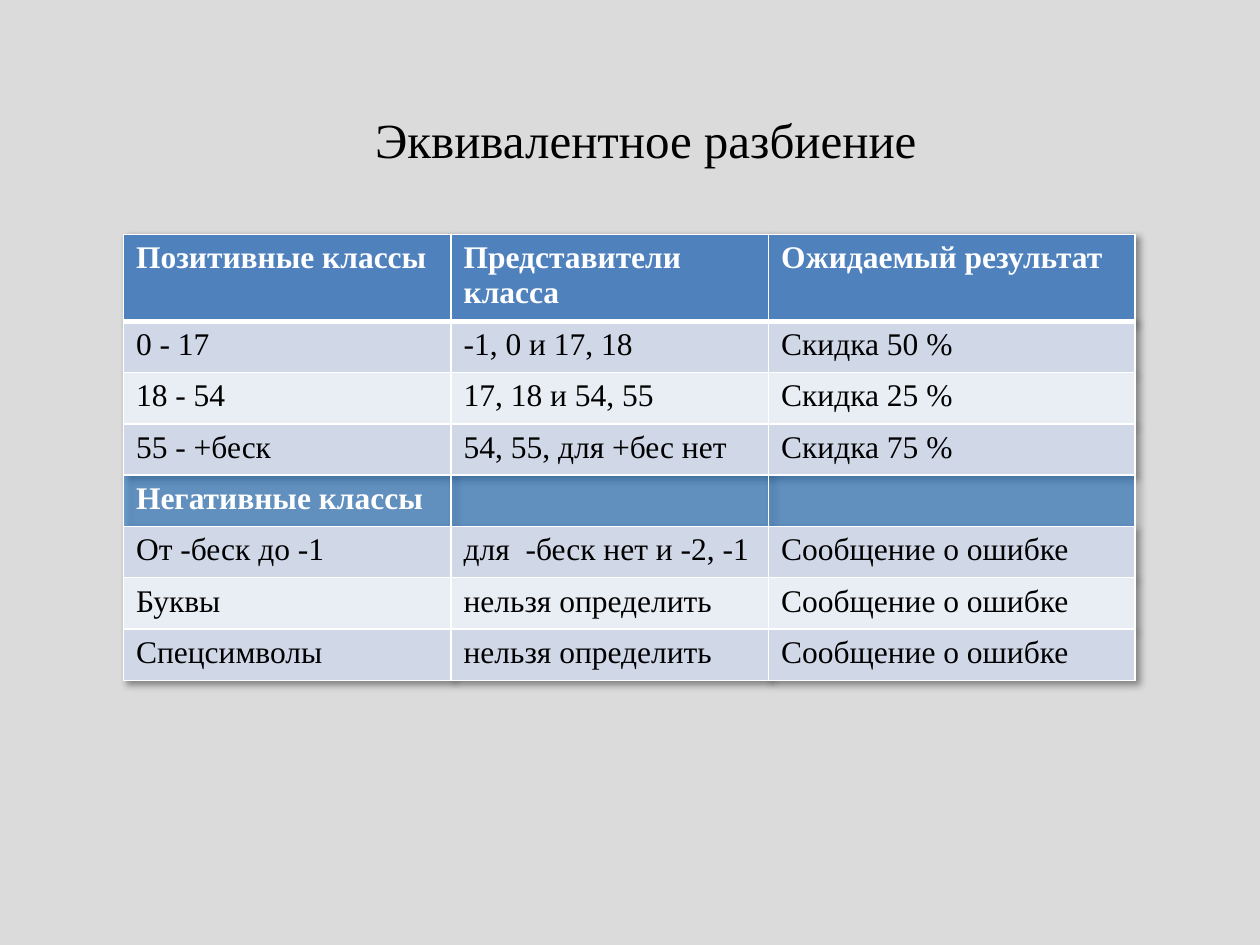
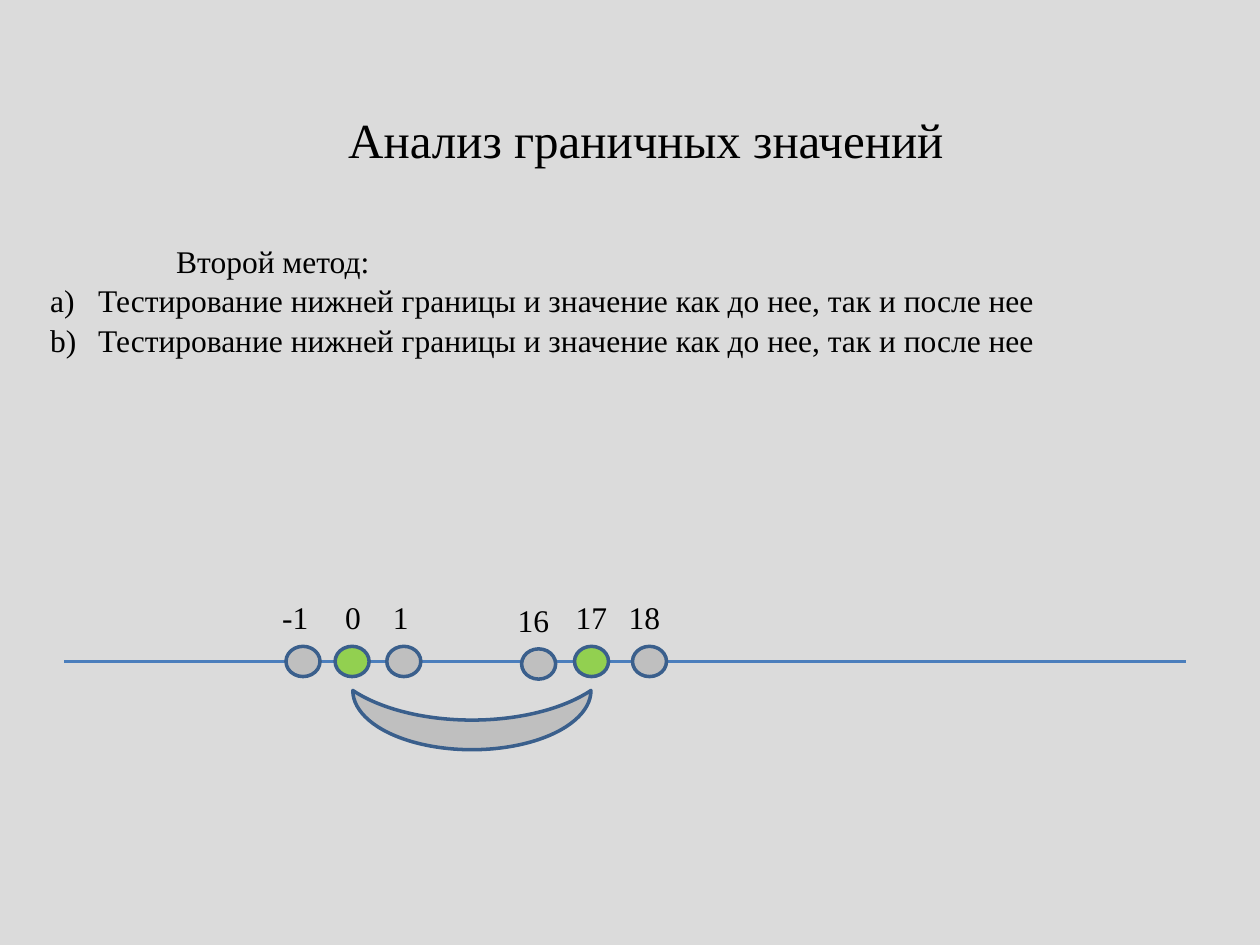
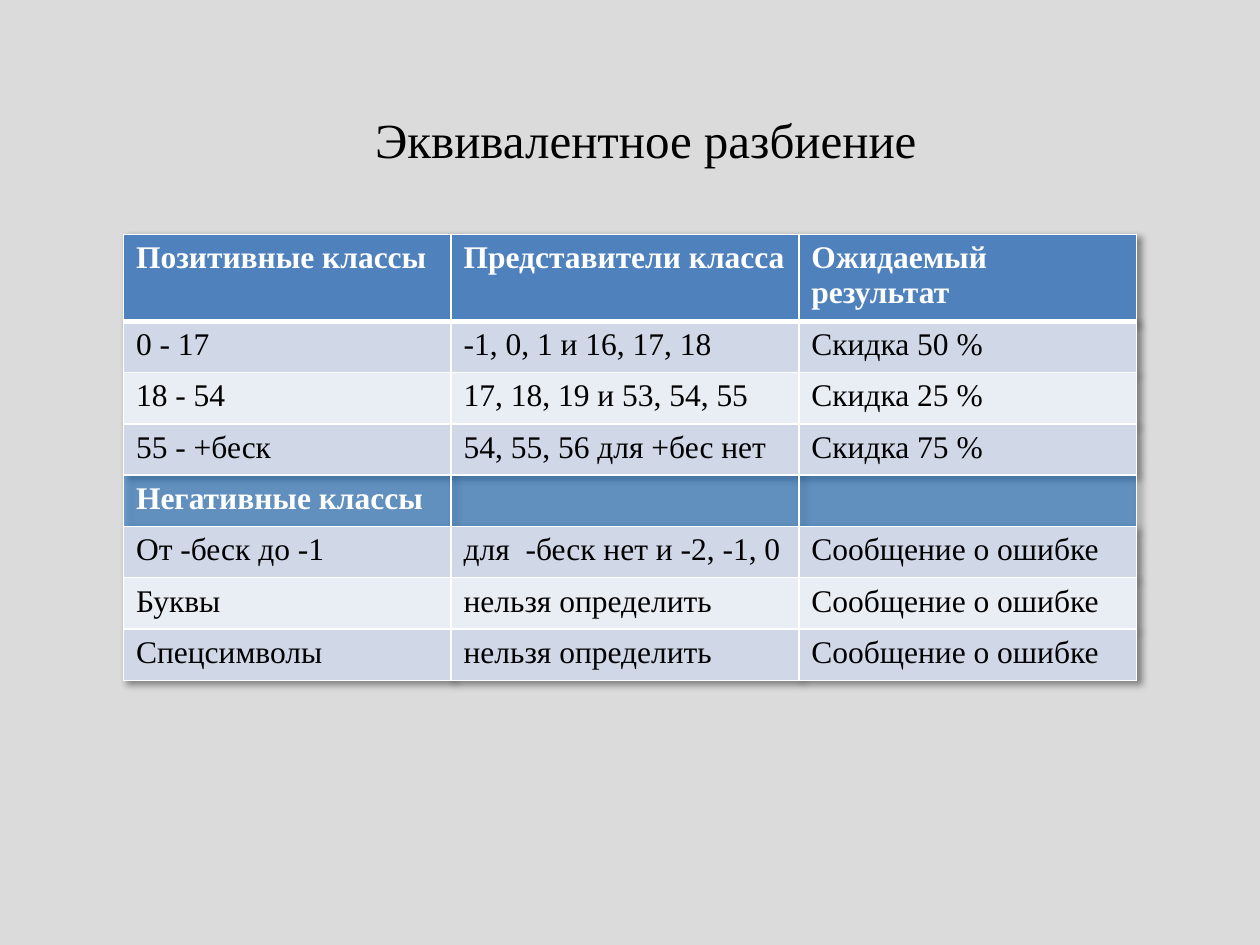
from lxml import etree
from pptx import Presentation
from pptx.dml.color import RGBColor
from pptx.enum.shapes import MSO_CONNECTOR, MSO_SHAPE
from pptx.enum.text import MSO_ANCHOR, MSO_AUTO_SIZE, PP_ALIGN
from pptx.oxml import parse_xml
from pptx.oxml.ns import qn
from pptx.util import Inches, Pt

LINE = MSO_CONNECTOR.STRAIGHT
MOON, OVAL = MSO_SHAPE.MOON, MSO_SHAPE.OVAL
CENTER, JUSTIFY = PP_ALIGN.CENTER, PP_ALIGN.JUSTIFY
BOTTOM, NO_FIT = MSO_ANCHOR.BOTTOM, MSO_AUTO_SIZE.NONE
NS = "http://schemas.openxmlformats.org/drawingml/2006/main"

COLORS = {
    "back": "DBDBDB", "text": "000000", "white": "FFFFFF",
    "head": "4F81BD", "dark": "D0D8E8", "light": "E9EDF4", "band": "0066CC",
    "axis": "4B7EBC", "edge": "3A5F8C", "gray": "BFBFBF", "green": "92D050",
}
RGB = {name: RGBColor.from_string(code) for name, code in COLORS.items()}
FONT, BODY, HEAD = "Times New Roman", 18, 28

prs = Presentation()
prs.slide_width, prs.slide_height = Inches(10), Inches(7.5)
back = prs.slide_master.background.fill
back.solid()
back.fore_color.rgb = RGB["back"]


def style(para, size=BODY, color="text", bold=False):
    font = para.font
    font.name, font.size, font.bold = FONT, Pt(size), bold
    font.color.rgb = RGB[color]


def paint(shape, fill):
    shape.shadow.inherit = False
    shape.fill.solid()
    shape.fill.fore_color.rgb = RGB[fill]
    shape.line.color.rgb = RGB["edge"]
    shape.line.width = Pt(2)


# Slides with their shared title style
slides = []
for text in ("Эквивалентное разбиение", "Анализ граничных значений",
             "Эквивалентное разбиение"):
    slide = prs.slides.add_slide(prs.slide_layouts[5])
    title = slide.shapes.title
    title.left, title.top = Inches(0.4), Inches(0.82)
    title.width, title.height = Inches(9.45), Inches(0.57)
    frame = title.text_frame
    frame.text = text
    frame.auto_size, frame.vertical_anchor = NO_FIT, BOTTOM
    frame.paragraphs[0].alignment = CENTER
    style(frame.paragraphs[0], HEAD)
    slides.append(slide)

# Tables of classes: only the middle column and the widths differ
CLASSES = ["Позитивные классы", "0 - 17", "18 - 54", "55 - +беск",
           "Негативные классы", "От -беск до -1", "Буквы", "Спецсимволы"]
RESULTS = ["Ожидаемый результат", "Скидка 50 %", "Скидка 25 %", "Скидка 75 %",
           ""] + ["Сообщение о ошибке"] * 3
FILLS = ["head", "dark", "light", "dark", "band", "dark", "light", "dark"]
FIRST, TALL = 0.69, 3.54
tables = [
    (slides[0], (2.6, 2.52, 2.91),
     ["-1, 0 и 17, 18", "17, 18 и 54, 55", "54, 55, для +бес нет", "",
      "для  -беск нет и -2, -1"]),
    (slides[2], (2.6, 2.76, 2.68),
     ["-1, 0, 1 и 16, 17, 18", "17, 18, 19 и 53, 54, 55",
      "54, 55, 56 для +бес нет", "", "для  -беск нет и -2, -1, 0"]),
]
for slide, widths, values in tables:
    middle = ["Представители класса"] + values + ["нельзя определить"] * 2
    table = slide.shapes.add_table(
        len(CLASSES), 3, Inches(0.98), Inches(1.86),
        Inches(sum(widths)), Inches(TALL)).table
    table._tbl.tblPr.insert(0, parse_xml(
        f'<a:effectLst xmlns:a="{NS}"><a:outerShdw blurRad="50800" dist="38100" '
        'dir="2700000" algn="tl" rotWithShape="0"><a:prstClr val="black">'
        '<a:alpha val="40000"/></a:prstClr></a:outerShdw></a:effectLst>'))
    for col, width in zip(table.columns, widths):
        col.width = Inches(width)
    for r, texts in enumerate(zip(CLASSES, middle, RESULTS)):
        table.rows[r].height = Inches(
            FIRST if r == 0 else (TALL - FIRST) / (len(CLASSES) - 1))
        strong = FILLS[r] in ("head", "band")
        for c, text in enumerate(texts):
            cell = table.cell(r, c)
            props = cell._tc.get_or_add_tcPr()
            for side in "LRTB":
                thick = (r, side) in ((0, "B"), (1, "T"))
                props.append(parse_xml(
                    f'<a:ln{side} xmlns:a="{NS}" w="{Pt(3 if thick else 1)}">'
                    f'<a:solidFill><a:srgbClr val="{COLORS["white"]}"/>'
                    f'</a:solidFill></a:ln{side}>'))
            cell.fill.solid()
            cell.fill.fore_color.rgb = RGB[FILLS[r]]
            if FILLS[r] == "band":
                tint = props.find(".//" + qn("a:srgbClr") + f"[@val='{COLORS['band']}']")
                etree.SubElement(tint, qn("a:alpha"), val="45000")
            cell.text = text
            style(cell.text_frame.paragraphs[0],
                  color="white" if strong else "text", bold=strong)

# Second method: lead line and lettered list
shapes = slides[1].shapes
frame = shapes.add_textbox(
    Inches(0.3), Inches(1.86), Inches(9.45), Inches(1.01)).text_frame
frame.word_wrap = True
rule = "Тестирование нижней границы и значение как до нее, так и после нее"
frame.text = "\n".join(["Второй метод:", rule, rule])
for n, para in enumerate(frame.paragraphs):
    para.alignment, para.line_spacing = JUSTIFY, 1.04
    style(para)
    props = para._p.get_or_add_pPr()
    props.set("marL", str(Inches(0.38 if n else 1)))
    if n:
        props.set("indent", str(-Inches(0.38)))
        etree.SubElement(props, qn("a:buFont"), typeface=FONT)
        etree.SubElement(props, qn("a:buAutoNum"), type="alphaLcParenR")

# Number axis with the range below it
group = shapes.add_group_shape().shapes
axis = group.add_connector(
    LINE, Inches(0.51), Inches(5.25), Inches(9.41), Inches(5.25))
axis.line.color.rgb = RGB["axis"]
axis.line.width = Pt(2)
etree.SubElement(axis._element.spPr, qn("a:effectLst"))
moon = group.add_shape(
    MOON, Inches(3.51), Inches(4.77), Inches(0.47), Inches(1.89))
moon.rotation = 270
paint(moon, "gray")

# Points: label, dot left, label left, label width, top of the label, fill
points = [
    ("-1", 2.27, 2.14, 0.45, 4.7, "gray"),
    ("0", 2.66, 2.64, 0.33, 4.7, "green"),
    ("1", 3.07, 3.02, 0.33, 4.7, "gray"),
    ("16", 4.14, 4.01, 0.45, 4.72, "gray"),
    ("17", 4.56, 4.47, 0.45, 4.7, "green"),
    ("18", 5.02, 4.89, 0.45, 4.7, "gray"),
]
for text, left, start, width, top, fill in points:
    dot = group.add_shape(
        OVAL, Inches(left), Inches(top + 0.43), Inches(0.27), Inches(0.24))
    paint(dot, fill)
    label = group.add_textbox(
        Inches(start), Inches(top), Inches(width), Inches(0.4)).text_frame
    label.word_wrap = False
    label.text = text
    style(label.paragraphs[0])

prs.save("out.pptx")
